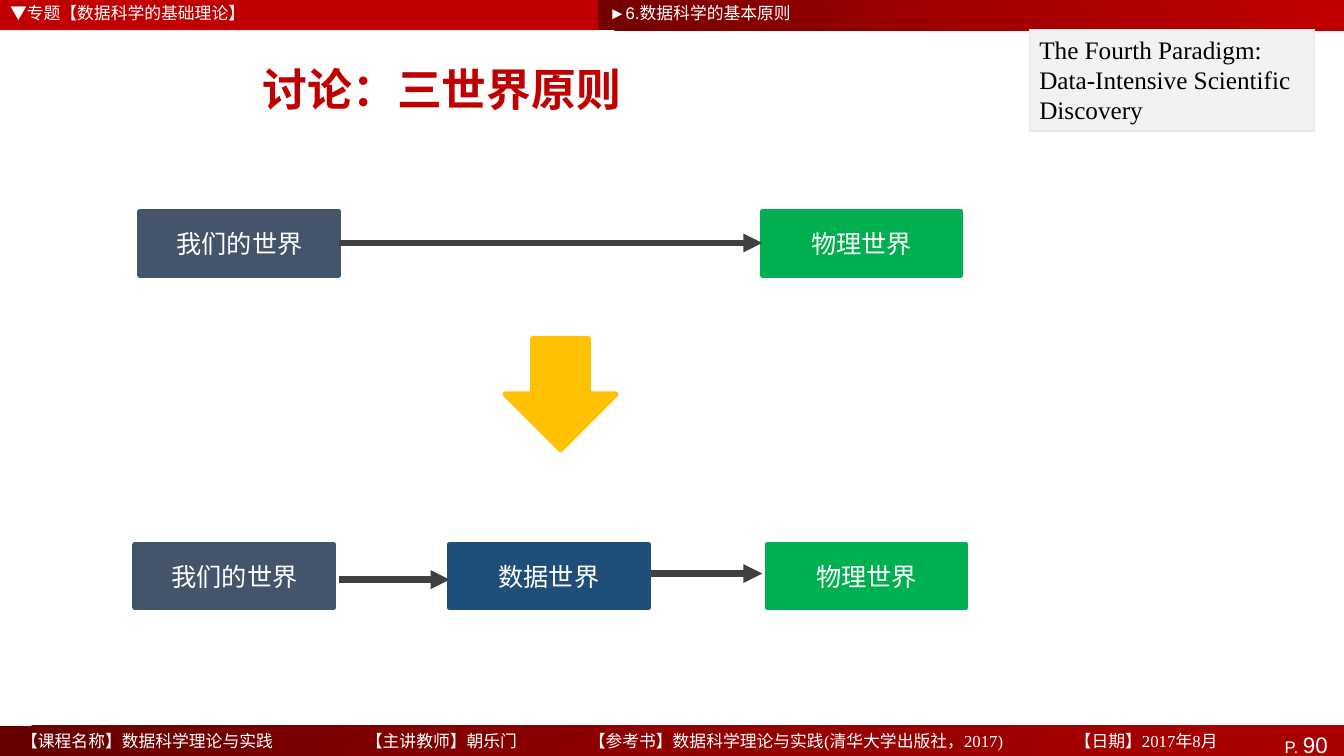
from copy import deepcopy

from lxml import etree
from pptx import Presentation
from pptx import util as u
from pptx.dml import color
from pptx.enum import shapes, text
from pptx.oxml import ns

WORLD_SIZE = (1.97, 0.63)
CJK_FONT = "Noto Sans CJK SC"
WHITE = "FFFFFF"
OURS = ("我们的世界", "44546A")
DATA = ("数据世界", "1F4E79")
PHYSICAL = ("物理世界", "00B050")
FOOTER = [
    "【课程名称】数据科学理论与实践",
    "【主讲教师】朝乐门",
    "【参考书】数据科学理论与实践(清华大学出版社，2017)",
    "【日期】2017年8月",
]
FOOTER_LEFT = 0.21
FOOTER_STOPS = (3.63, 5.84, 10.66)


def rgb(value):
    return color.RGBColor.from_string(value)


def place(shape, left, top, width, height):
    shape.left, shape.top = u.Inches(left), u.Inches(top)
    shape.width, shape.height = u.Inches(width), u.Inches(height)


def set_frame(shape, anchor=text.MSO_ANCHOR.TOP, side=0.1, edge=0.05):
    frame = shape.text_frame
    frame.word_wrap = True
    frame.auto_size = text.MSO_AUTO_SIZE.NONE
    frame.vertical_anchor = anchor
    frame.margin_left = frame.margin_right = u.Inches(side)
    frame.margin_top = frame.margin_bottom = u.Inches(edge)
    return frame.paragraphs[0]


def add_run(para, words, size, ink, font="Arial", bold=False):
    span = para.add_run()
    span.text = words
    span.font.size = u.Pt(size)
    span.font.name = font
    span.font.bold = bold
    span.font.color.rgb = rgb(ink)
    latin = span.font._element.find(ns.qn("a:latin"))
    east_asian = etree.Element(ns.qn("a:ea"), typeface=CJK_FONT)
    latin.addnext(east_asian)


def add_block(page, box, fill=None, line=None, weight=3.78,
              preset=shapes.MSO_SHAPE.RECTANGLE):
    shape = page.shapes.add_shape(preset, *map(u.Inches, box))
    shape.shadow.inherit = False
    if fill:
        shape.fill.solid()
        shape.fill.fore_color.rgb = rgb(fill)
    if line:
        shape.line.color.rgb = rgb(line)
        shape.line.width = u.Pt(weight)
    else:
        shape.line.fill.background()
    return shape


def add_gradient_bar(page, box, colours, angle):
    bar = add_block(page, box)
    bar.fill.gradient()
    bar.fill.gradient_angle = angle
    stops = bar._element.spPr.find(".//" + ns.qn("a:gsLst"))
    stops.insert(1, deepcopy(stops[0]))
    for stop, colour, position in zip(bar.fill.gradient_stops, colours, (0, 0.5, 1)):
        stop.color.rgb = rgb(colour)
        stop.position = position
    return bar


def add_world(page, world, left, top):
    name, colour = world
    box = add_block(page, (left, top, *WORLD_SIZE), colour, colour)
    para = set_frame(box, text.MSO_ANCHOR.MIDDLE)
    para.alignment = text.PP_ALIGN.CENTER
    add_run(para, name, 18, WHITE)


def add_arrow(page, start, end, y):
    arrow = page.shapes.add_connector(
        shapes.MSO_CONNECTOR.STRAIGHT, *map(u.Inches, (start, y, end, y)))
    arrow.line.color.rgb = rgb("404040")
    arrow.line.width = u.Pt(4.5)
    etree.SubElement(arrow.line._get_or_add_ln(), ns.qn("a:tailEnd"), type="triangle")
    etree.SubElement(arrow._element.spPr, ns.qn("a:effectLst"))


def add_footer(page):
    bar = add_gradient_bar(page, (0, 7.2, 13.33, 0.37),
                           ("650000", "900000", "AB0000"), 315)
    para = set_frame(bar, side=0.16)
    para.alignment = text.PP_ALIGN.RIGHT
    add_run(para, "P. ", 12, WHITE)
    add_run(para, "90", 16, WHITE)

    credits = page.shapes.add_textbox(
        *map(u.Inches, (FOOTER_LEFT, 7.22, 12.33, 0.35)))
    para = set_frame(credits, side=0, edge=0.03)
    tabs = etree.SubElement(para._p.get_or_add_pPr(), ns.qn("a:tabLst"))
    for stop in FOOTER_STOPS:
        etree.SubElement(tabs, ns.qn("a:tab"),
                         pos=str(u.Inches(stop - FOOTER_LEFT)), algn="l")
    add_run(para, "\t".join(FOOTER), 12, WHITE, "Times New Roman")


def fill_title(title):
    place(title, 0.44, 0.43, 7.89, 0.9)
    para = set_frame(title, text.MSO_ANCHOR.MIDDLE)
    para.alignment = text.PP_ALIGN.CENTER
    add_run(para, "讨论：三世界原则", 32, "C00000", CJK_FONT, bold=True)


def fill_heading(body, words, left, width):
    place(body, left, 0, width, 0.29)
    para = set_frame(body, edge=0.03)
    props = para._p.get_or_add_pPr()
    props.set("marL", "0")
    props.set("indent", "0")
    etree.SubElement(props, ns.qn("a:buNone"))
    para.space_before = u.Pt(0)
    add_run(para, words, 12, WHITE)


def add_reference(page):
    box = add_block(page, (10.21, 0.29, 2.83, 1.01), "F2F2F2", "E7E6E6", 0.75)
    para = set_frame(box)
    para.alignment = text.PP_ALIGN.LEFT
    add_run(para, "The Fourth Paradigm: Data-Intensive Scientific Discovery",
            18, "000000", "Times New Roman")


def main():
    deck = Presentation()
    deck.slide_width, deck.slide_height = u.Inches(13.33), u.Inches(7.5)
    page = deck.slides.add_slide(deck.slide_layouts.get_by_name("Two Content"))
    title, topic, section = list(page.placeholders)

    add_block(page, (0, 0, 5.93, 0.3), "C00000")
    add_gradient_bar(page, (5.93, 0, 7.4, 0.3), ("720000", "A20000", "C00000"), 45)
    add_footer(page)

    fill_title(title)
    fill_heading(topic, "▼专题【数据科学的基础理论】", 0, 4.83)
    fill_heading(section, "►6.数据科学的基本原则", 5.94, 2.38)
    for holder in (title, topic, section):
        page.shapes._spTree.append(holder._element)

    for world, left, top in (
        (OURS, 1.39, 2.1), (PHYSICAL, 7.56, 2.1),
        (OURS, 1.34, 5.4), (PHYSICAL, 7.61, 5.4), (DATA, 4.46, 5.4),
    ):
        add_world(page, world, left, top)
    for start, end, y in ((3.36, 7.56, 2.41), (3.36, 4.46, 5.75), (6.46, 7.56, 5.69)):
        add_arrow(page, start, end, y)
    add_block(page, (5.01, 3.36, 1.1, 1.1), "FFC000", "FFC000",
              preset=shapes.MSO_SHAPE.DOWN_ARROW)
    add_reference(page)

    deck.save("out.pptx")


if __name__ == "__main__":
    main()
